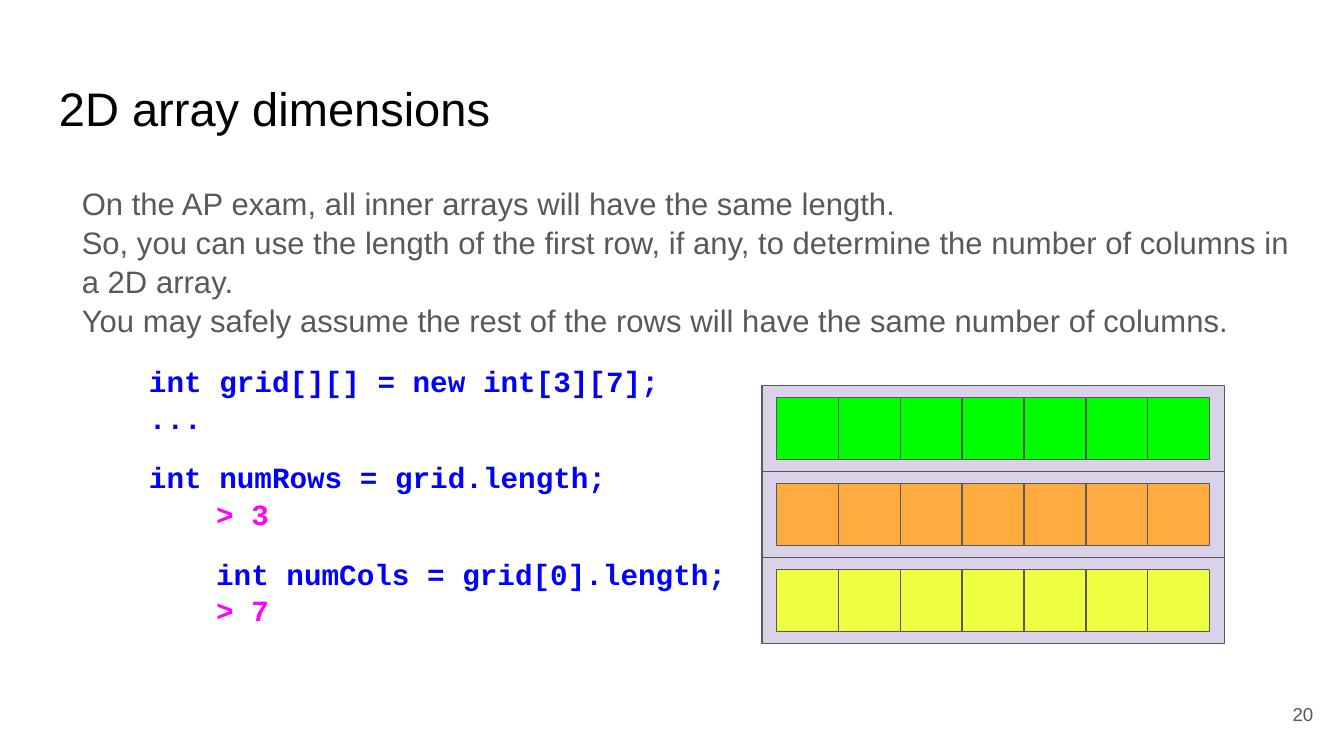
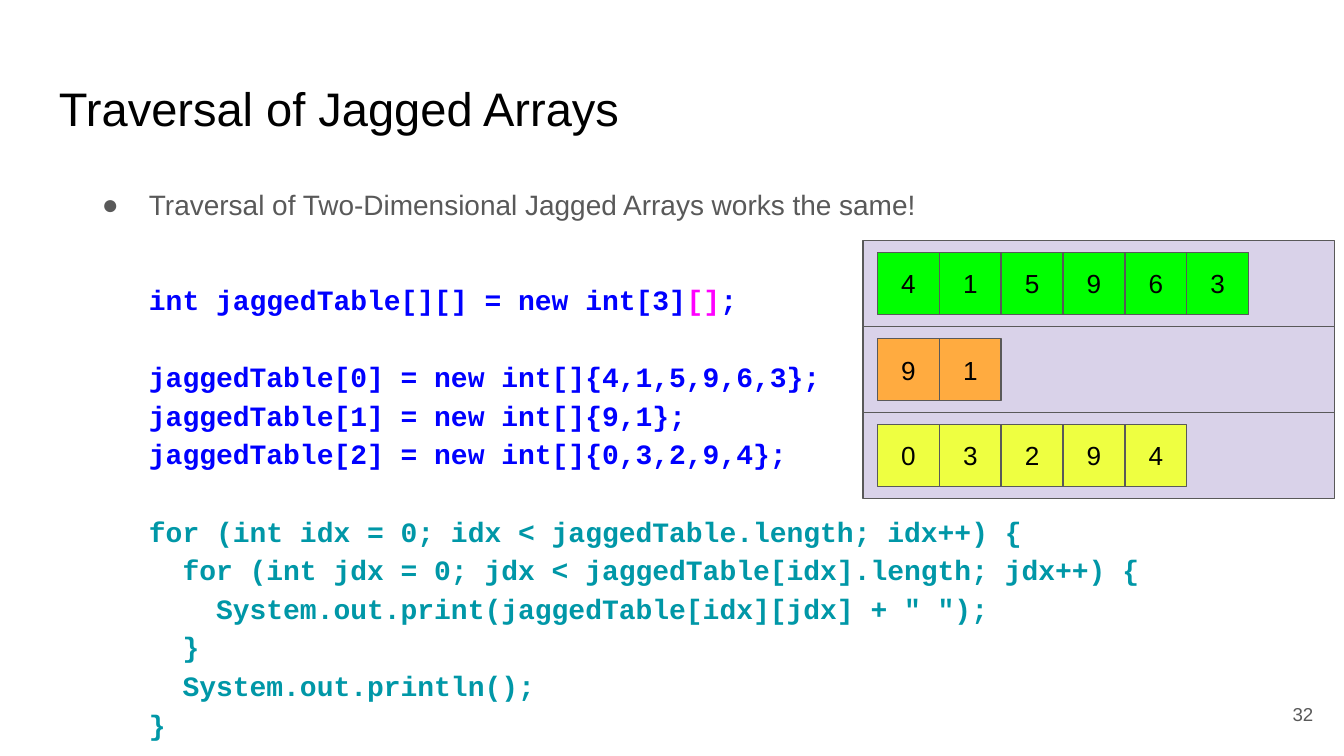
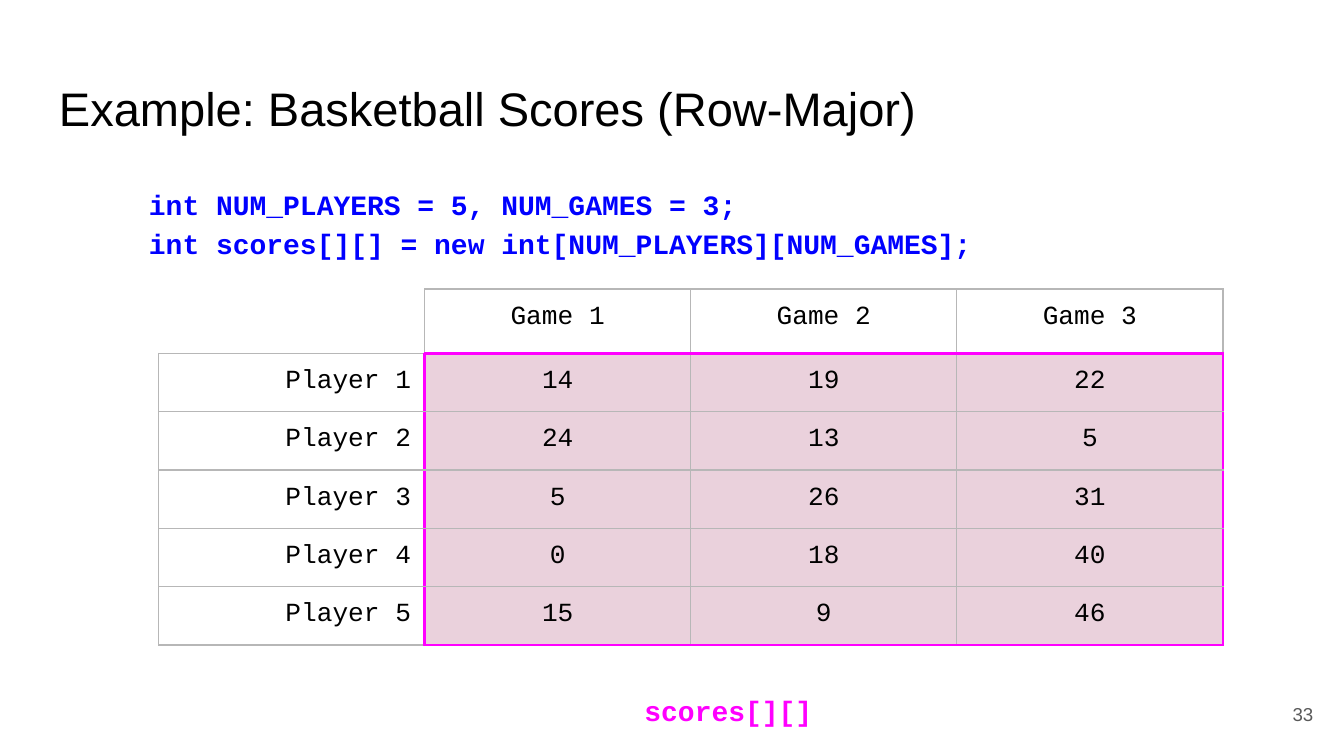
import copy
import dataclasses

import lxml.etree
import pptx
import pptx.dml.color
import pptx.enum.shapes
import pptx.enum.text
import pptx.oxml.ns
import pptx.util

Inches, Pt = pptx.util.Inches, pptx.util.Pt
ALIGN, ANCHOR = pptx.enum.text.PP_ALIGN, pptx.enum.text.MSO_ANCHOR
qn = pptx.oxml.ns.qn


@dataclasses.dataclass(frozen=True)
class Theme:
    sans: str = "Arial"
    mono: str = "Courier New"
    black: str = "000000"
    grey: str = "595959"
    blue: str = "0000FF"
    magenta: str = "FF00FF"
    teal: str = "0097A7"
    white: str = "FFFFFF"
    lilac: str = "D9D2E9"
    row_fills: tuple = ("00FF00", "FFAB40", "EEFF41")
    score_fill: str = "EAD1DC"
    border: str = "B7B7B7"
    title_size: float = 25.2
    lead_size: float = 16.65
    snippet_size: float = 15.7
    body_size: float = 15
    cell_size: float = 14
    number_size: float = 10


T = Theme()
BODY = (0.51, 1.26, 9.32, 3.74)


def rgb(value):
    return pptx.dml.color.RGBColor.from_string(value)


def plain(color, size):
    return dict(name=T.sans, size=Pt(size), color=color)


def code(color, size=T.body_size):
    return dict(name=T.mono, size=Pt(size), bold=True, color=color)


def add_element(parent, tag, **attrs):
    element = lxml.etree.SubElement(parent, qn(tag))
    for key, value in attrs.items():
        element.set(key, str(value))
    return element


# Text
def style_run(r, style):
    for key, value in style.items():
        if key == "color":
            r.font.color.rgb = rgb(value)
        else:
            setattr(r.font, key, value)


def add_runs(p, runs):
    """Add (text, style) runs; a newline becomes a break of the same size."""
    for text, style in runs:
        for i, line in enumerate(text.split("\n")):
            if i:
                p.add_line_break()
                p._p[-1].append(copy.deepcopy(r._r.rPr))
            if line:
                r = p.add_run()
                r.text = line
                style_run(r, style)


def indent(p, left, first=0):
    pPr = p._p.get_or_add_pPr()
    pPr.set("marL", str(Inches(left)))
    pPr.set("indent", str(Inches(first)))


def add_bullet(p, char):
    pPr = p._p.get_or_add_pPr()
    add_element(add_element(pPr, "a:buClr"), "a:srgbClr", val=T.grey)
    add_element(pPr, "a:buSzPts", val=T.body_size * 100)
    add_element(pPr, "a:buFont", typeface=T.sans)
    add_element(pPr, "a:buChar", char=char)


def fill_frame(tf, paragraphs, anchor=ANCHOR.TOP):
    """Write (runs, paragraph format) pairs into a text frame."""
    tf.word_wrap = True
    tf.vertical_anchor = anchor
    for side in ("left", "top", "right", "bottom"):
        setattr(tf, f"margin_{side}", Inches(0.1))
    for i, (runs, fmt) in enumerate(paragraphs):
        p = tf.add_paragraph() if i else tf.paragraphs[0]
        for key, value in fmt.items():
            if key == "indent":
                indent(p, *value)
            elif key != "bullet":
                setattr(p, key, value)
        if "bullet" in fmt:
            add_bullet(p, fmt["bullet"])
        add_runs(p, runs)


def add_text(slide, box, paragraphs, anchor=ANCHOR.TOP):
    tb = slide.shapes.add_textbox(*map(Inches, box))
    fill_frame(tb.text_frame, paragraphs, anchor)


# Slide frame: title and page number
def add_slide(prs, title, number):
    slide = prs.slides.add_slide(prs.slide_layouts[6])
    add_text(slide, (0.34, 0.49, 9.32, 0.63),
             [([(title, plain(T.black, T.title_size))], dict(line_spacing=1.0))])
    add_text(slide, (9.27, 5.1, 0.6, 0.43),
             [([(number, plain(T.grey, T.number_size))],
               dict(alignment=ALIGN.RIGHT))], ANCHOR.MIDDLE)
    return slide


# Array diagram: one band per inner array, one square per element
def add_rect(shapes, box, fill):
    sp = shapes.add_shape(pptx.enum.shapes.MSO_SHAPE.RECTANGLE, *map(Inches, box))
    sp.shadow.inherit = False
    sp.fill.solid()
    sp.fill.fore_color.rgb = rgb(fill)
    sp.line.color.rgb = rgb(T.grey)
    sp.line.width = Pt(0.75)
    return sp


def add_array(shapes, left, top, width, rows):
    band, cell = 0.64, 0.46
    for i, (values, fill) in enumerate(zip(rows, T.row_fills)):
        y = top + i * band
        add_rect(shapes, (left, y, width, band), T.lilac)
        for j, value in enumerate(values):
            sp = add_rect(shapes, (left + 0.11 + j * cell, y + 0.09, cell, cell), fill)
            if value:
                fill_frame(sp.text_frame,
                           [([(value, plain(T.black, T.cell_size))],
                             dict(alignment=ALIGN.CENTER))], ANCHOR.MIDDLE)


# Score table
def set_border(cell, side, color, width):
    ln = add_element(cell._tc.get_or_add_tcPr(), f"a:ln{side}", w=Pt(width))
    add_element(add_element(ln, "a:solidFill"), "a:srgbClr", val=color)


def border_format(row, col, side, n_rows, n_cols):
    """Magenta round the scores, white outside the empty corner, else grey."""
    if side in "LR":
        framed = row > 0 and col + (side == "R") in (1, n_cols)
    else:
        framed = col > 0 and row + (side == "B") in (1, n_rows)
    if framed:
        return T.magenta, 1.5
    corner = row == col == 0 and side in "LT"
    return (T.white if corner else T.border), 0.75


def add_score_table(slide, left, top, rows):
    n_rows, n_cols = len(rows), len(rows[0])
    col_w, head_h, row_h = 1.98, 0.48, 0.42
    table = slide.shapes.add_table(
        n_rows, n_cols, Inches(left), Inches(top), Inches(col_w * n_cols),
        Inches(head_h + row_h * (n_rows - 1))).table
    table.first_row = table.horz_banding = False
    for col in table.columns:
        col.width = Inches(col_w)
    for i, row in enumerate(table.rows):
        row.height = Inches(row_h if i else head_h)
    style = dict(name=T.mono, size=Pt(T.cell_size), color=T.black)
    for i, values in enumerate(rows):
        for j, value in enumerate(values):
            cell = table.cell(i, j)
            for side in ("left", "top", "right", "bottom"):
                setattr(cell, f"margin_{side}", Inches(0.1))
            p = cell.text_frame.paragraphs[0]
            p.alignment = ALIGN.CENTER if j else ALIGN.RIGHT
            p.line_spacing = 1.0
            add_runs(p, [(value, style)])
            # The end mark sets the line height of the empty corner
            end = add_element(p._p, "a:endParaRPr", sz=T.cell_size * 100)
            add_element(end, "a:latin", typeface=T.mono)
            # Borders come before the fill in the cell properties
            for side in "LRTB":
                set_border(cell, side, *border_format(i, j, side, n_rows, n_cols))
            if i and j:
                cell.fill.solid()
                cell.fill.fore_color.rgb = rgb(T.score_fill)
            else:
                cell.fill.background()


# Slides
def dimensions_slide(prs):
    slide = add_slide(prs, "2D array dimensions", "20")
    blue, pink = code(T.blue, T.snippet_size), code(T.magenta, T.snippet_size)
    spaced = dict(line_spacing=1.05, space_before=Pt(12))
    add_text(slide, BODY, [
        ([("On the AP exam, all inner arrays will have the same length.\n"
           "So, you can use the length of the first row, if any, to determine "
           "the number of columns in a 2D array.\n"
           "You may safely assume the rest of the rows will have the same "
           "number of columns.", plain(T.grey, T.lead_size))],
         dict(line_spacing=1.05)),
        ([("int grid[][] = new int[3][7];\n...", blue)],
         dict(spaced, indent=(0.5,))),
        ([("int numRows = grid.length;\n", blue), ("> 3", pink)],
         dict(spaced, indent=(1, -0.5))),
        ([("int numCols = grid[0].length;\n", blue), ("> 7", pink)],
         dict(spaced, indent=(1,))),
    ])
    add_array(slide.shapes, 5.67, 2.87, 3.44, [[""] * 7] * 3)


def jagged_slide(prs):
    slide = add_slide(prs, "Traversal of Jagged Arrays", "32")
    blue, pink, teal = code(T.blue), code(T.magenta), code(T.teal)
    block = dict(line_spacing=1.15, indent=(0.5,), space_before=Pt(20.7))
    add_text(slide, BODY, [
        ([("Traversal of Two-Dimensional Jagged Arrays works the same!",
           plain(T.grey, T.body_size))],
         dict(line_spacing=1.15, indent=(0.5, -0.35), bullet="●")),
        ([("int jaggedTable[][] = new int[3]", blue), ("[]", pink), (";", blue)],
         dict(block, space_before=Pt(30))),
        ([("jaggedTable[0] = new int[]{4,1,5,9,6,3};\n"
           "jaggedTable[1] = new int[]{9,1};\n"
           "jaggedTable[2] = new int[]{0,3,2,9,4};", blue)], block),
        ([("for (int idx = 0; idx < jaggedTable.length; idx++) {\n"
           "  for (int jdx = 0; jdx < jaggedTable[idx].length; jdx++) {\n"
           "    System.out.print(jaggedTable[idx][jdx] + \" \");\n"
           "  }\n"
           "  System.out.println();\n"
           "}", teal)], block),
    ])
    group = slide.shapes.add_group_shape()
    add_array(group.shapes, 6.42, 1.79, 3.51, ["415963", "91", "03294"])


def scores_slide(prs):
    slide = add_slide(prs, "Example: Basketball Scores (Row-Major)", "33")
    add_text(slide, BODY, [
        ([("int NUM_PLAYERS = 5, NUM_GAMES = 3;\n"
           "int scores[][] = new int[NUM_PLAYERS][NUM_GAMES];", code(T.blue))],
         dict(line_spacing=1.15, indent=(0.5,)))])
    add_score_table(slide, 1.18, 2.15, [
        ["", "Game 1", "Game 2", "Game 3"],
        ["Player 1", "14", "19", "22"],
        ["Player 2", "24", "13", "5"],
        ["Player 3", "5", "26", "31"],
        ["Player 4", "0", "18", "40"],
        ["Player 5", "15", "9", "46"],
    ])
    # Array name under the table
    add_text(slide, (1.01, 5.02, 8.82, 0.48),
             [([("scores[][]", code(T.magenta))],
               dict(line_spacing=1.15, alignment=ALIGN.CENTER))])


def main():
    prs = pptx.Presentation()
    # Widescreen, 16:9
    prs.slide_width = Inches(10)
    prs.slide_height = prs.slide_width * 9 // 16
    dimensions_slide(prs)
    jagged_slide(prs)
    scores_slide(prs)
    prs.save("out.pptx")


if __name__ == "__main__":
    main()
